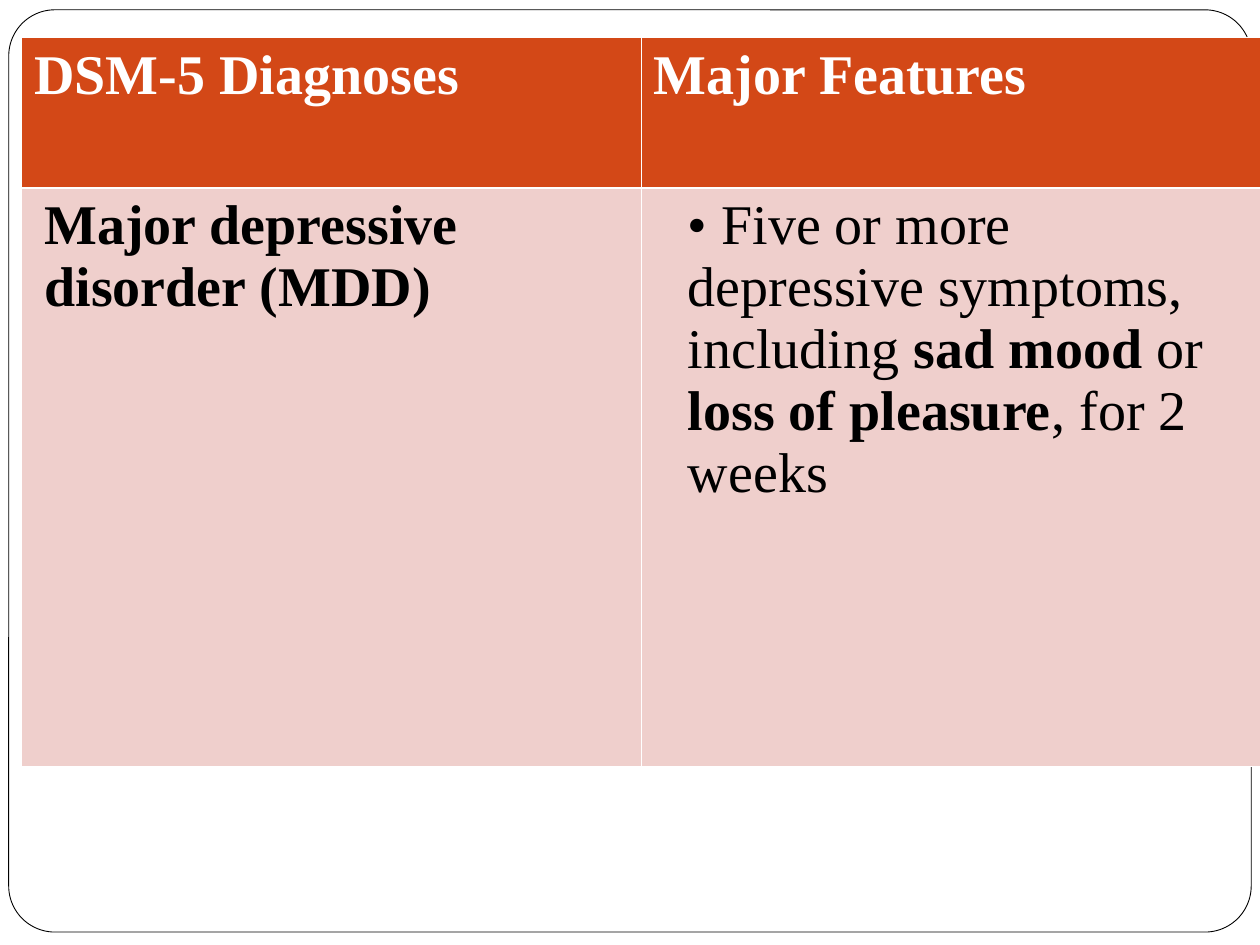
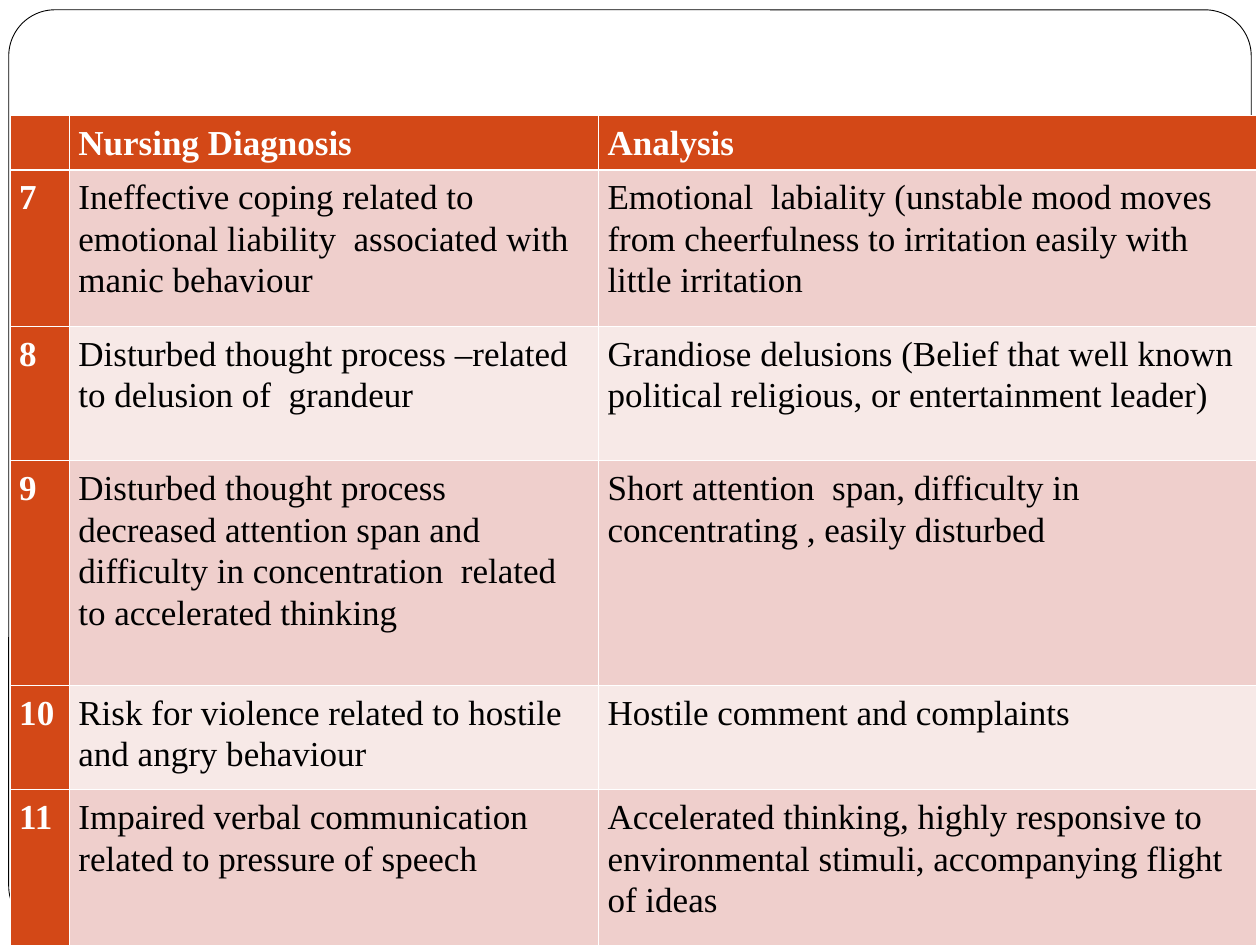
from dataclasses import dataclass

import pptx
import pptx.dml.color
import pptx.enum.shapes
import pptx.oxml.ns
import pptx.presentation
import pptx.slide
import pptx.table
import pptx.text.text
import pptx.util
from lxml import etree

Pt = pptx.util.Pt

# Shared look
FONT = "Times New Roman"
WHITE, BLACK = "FFFFFF", "000000"
ACCENT = "D34817"
BANDS = ("EFCFCC", "F7E9E7")
THIN_BORDER, HEADER_BORDER = 0.45, 1.47
BLANK_LAYOUT = 6


@dataclass(frozen=True)
class Phrase:
    text: str
    bold: bool = False


@dataclass(frozen=True)
class Entry:
    phrases: tuple[Phrase, ...]
    indent: float = 0


@dataclass(frozen=True)
class Grid:
    left: float
    top: float
    columns: tuple[float, ...]
    heights: tuple[float, ...]
    rows: tuple[tuple[str | Entry, ...], ...]
    size: float
    side_margin: float
    numbered: bool = False
    line_spacing: float = 1.0
    space_after: float = 0


def color(hex_code: str) -> pptx.dml.color.RGBColor:
    return pptx.dml.color.RGBColor.from_string(hex_code)


def write(paragraph: pptx.text.text._Paragraph, text: str, *, size: float,
          ink: str, bold: bool = False) -> None:
    run = paragraph.add_run()
    run.text = text
    run.font.name = FONT
    run.font.size = Pt(size)
    run.font.bold = bold
    run.font.color.rgb = color(ink)


def set_borders(cell: pptx.table._Cell, row: int) -> None:
    """White rules, heavier between the header and the first row."""
    widths = {
        "L": THIN_BORDER,
        "R": THIN_BORDER,
        "T": HEADER_BORDER if row == 1 else THIN_BORDER,
        "B": HEADER_BORDER if row == 0 else THIN_BORDER,
    }
    qn = pptx.oxml.ns.qn
    properties = cell._tc.get_or_add_tcPr()
    for side, width in widths.items():
        line = etree.SubElement(properties, qn(f"a:ln{side}"), w=str(int(Pt(width))))
        fill = etree.SubElement(line, qn("a:solidFill"))
        etree.SubElement(fill, qn("a:srgbClr"), val=WHITE)


def fill_cell(cell: pptx.table._Cell, entry: str | Entry, row: int,
              is_heading: bool, grid: Grid) -> None:
    if isinstance(entry, str):
        entry = Entry((Phrase(entry, bold=is_heading),))
    set_borders(cell, row)
    cell.fill.solid()
    cell.fill.fore_color.rgb = color(ACCENT if is_heading else BANDS[(row - 1) % 2])
    cell.margin_left = cell.margin_right = Pt(grid.side_margin)
    cell.margin_top = cell.margin_bottom = Pt(3.6)

    paragraph = cell.text_frame.paragraphs[0]
    paragraph.line_spacing = grid.line_spacing
    paragraph.space_after = Pt(grid.space_after)
    if entry.indent:
        paragraph._p.get_or_add_pPr().set("marL", str(int(Pt(entry.indent))))
    for phrase in entry.phrases:
        if phrase.text:
            write(paragraph, phrase.text, size=grid.size, bold=phrase.bold,
                  ink=WHITE if is_heading else BLACK)


def draw_grid(slide: pptx.slide.Slide, grid: Grid) -> None:
    table = slide.shapes.add_table(
        len(grid.rows), len(grid.columns), Pt(grid.left), Pt(grid.top),
        Pt(sum(grid.columns)), Pt(sum(grid.heights))).table
    table.first_col = grid.numbered
    for column, width in zip(table.columns, grid.columns):
        column.width = Pt(width)
    for table_row, height in zip(table.rows, grid.heights):
        table_row.height = Pt(height)
    for row, entries in enumerate(grid.rows):
        for col, entry in enumerate(entries):
            is_heading = row == 0 or (grid.numbered and col == 0)
            fill_cell(table.cell(row, col), entry, row, is_heading, grid)


def framed_slide(deck: pptx.presentation.Presentation) -> pptx.slide.Slide:
    """Add a slide with the rounded page frame."""
    slide = deck.slides.add_slide(deck.slide_layouts[BLANK_LAYOUT])
    frame = slide.shapes.add_shape(
        pptx.enum.shapes.MSO_SHAPE.ROUNDED_RECTANGLE,
        Pt(5), Pt(5.6), Pt(710), Pt(527))
    frame.adjustments[0] = 0.05
    frame.shadow.inherit = False
    frame.fill.solid()
    frame.fill.fore_color.rgb = color(WHITE)
    frame.line.color.rgb = color(BLACK)
    frame.line.width = Pt(0.5)
    return slide


# Slide 1: diagnosis and its features
DSM_DIAGNOSES = Grid(
    left=12.4, top=21.6, columns=(354, 354), heights=(85.7, 330.5),
    size=32, side_margin=7.2,
    rows=(
        ("DSM-5 Diagnoses", "Major Features"),
        (
            Entry((Phrase("Major depressive disorder (MDD)", bold=True),), indent=5.8),
            Entry((
                Phrase("• Five or more depressive symptoms, including "),
                Phrase("sad mood ", bold=True),
                Phrase("or "),
                Phrase("loss of pleasure", bold=True),
                Phrase(", for 2 weeks"),
            ), indent=19.5),
        ),
    ),
)

# Slide 2: numbered nursing diagnoses
NURSING_DIAGNOSES = Grid(
    left=6, top=66, columns=(33.8, 302.4, 375.8),
    heights=(29.5, 89.3, 77, 128.2, 59.8, 89.3),
    size=20, side_margin=5, numbered=True, line_spacing=1.07, space_after=8,
    rows=(
        ("", "Nursing Diagnosis", "Analysis"),
        ("7",
         "Ineffective coping related to emotional liability  associated with manic behaviour",
         "Emotional  labiality (unstable mood moves from cheerfulness to irritation easily "
         "with little irritation"),
        ("8",
         "Disturbed thought process –related to delusion of  grandeur",
         "Grandiose delusions (Belief that well known political religious, or "
         "entertainment leader)"),
        ("9",
         "Disturbed thought process decreased attention span and difficulty in "
         "concentration  related to accelerated thinking",
         "Short attention  span, difficulty in concentrating , easily disturbed"),
        ("10",
         "Risk for violence related to hostile and angry behaviour",
         "Hostile comment and complaints"),
        ("11",
         "Impaired verbal communication related to pressure of speech",
         "Accelerated thinking, highly responsive to environmental stimuli, "
         "accompanying flight of ideas"),
    ),
)


def main() -> None:
    deck = pptx.Presentation()
    deck.slide_width, deck.slide_height = Pt(720), Pt(540)
    for grid in (DSM_DIAGNOSES, NURSING_DIAGNOSES):
        draw_grid(framed_slide(deck), grid)
    deck.save("out.pptx")


if __name__ == "__main__":
    main()
